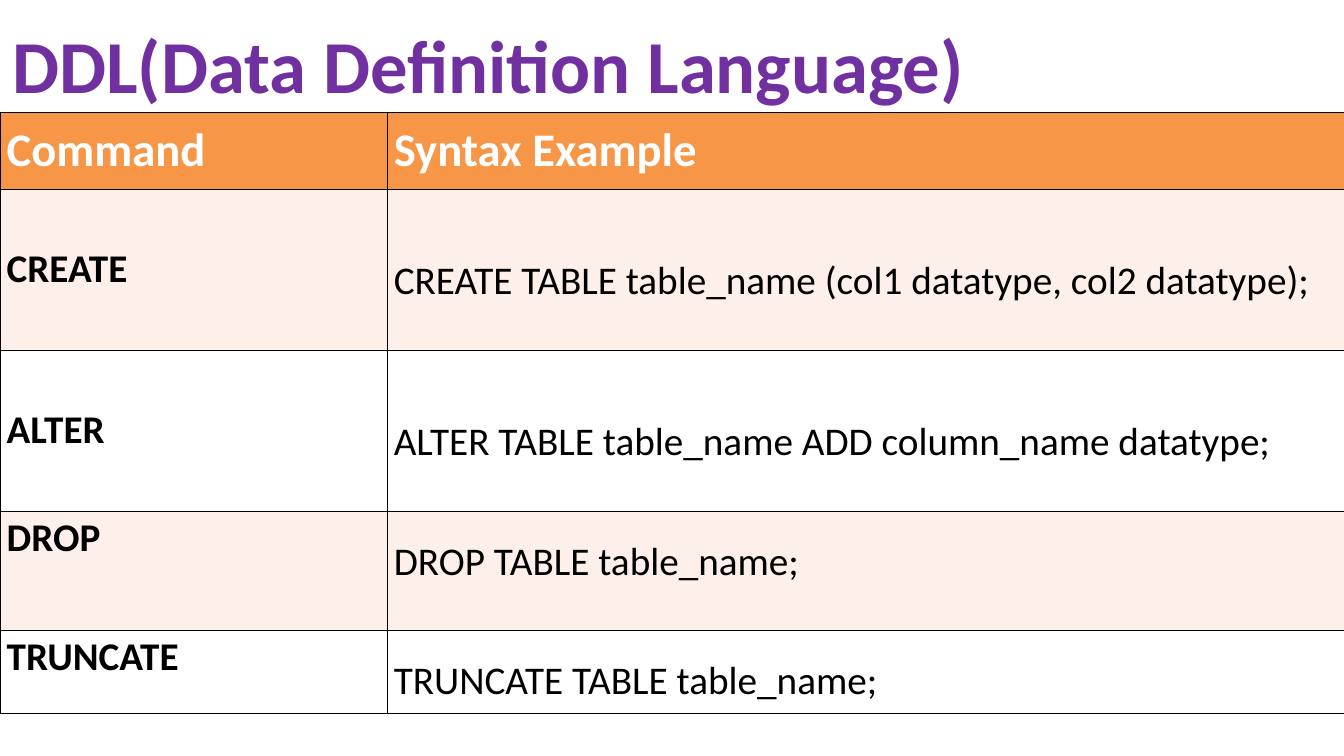
from lxml.etree import SubElement
from pptx import Presentation
from pptx.dml.color import RGBColor
from pptx.enum.text import MSO_ANCHOR as Anchor, MSO_AUTO_SIZE as AutoSize
from pptx.oxml.ns import qn
from pptx.util import Emu, Pt

PX = 9525
WIDTH, HEIGHT = 1920, 1080
COLUMN_WIDTHS = [553, 1367]
HEADERS = ["Command", "Syntax Example"]
COMMANDS = [
    ("CREATE", "CREATE TABLE table_name (col1 datatype, col2 datatype);", 230, Anchor.MIDDLE),
    ("ALTER", "ALTER TABLE table_name ADD column_name datatype;", 230, Anchor.MIDDLE),
    ("DROP", "DROP TABLE table_name;", 170, Anchor.TOP),
    ("TRUNCATE", "TRUNCATE TABLE table_name;", 119, Anchor.TOP),
]
HEADER_HEIGHT = 109
TABLE_TOP = 161


def add_span(para, text, size, color, bold):
    span = para.add_run()
    span.text = text
    span.font.name = "Calibri"
    span.font.size = Pt(size)
    span.font.bold = bold
    span.font.color.rgb = RGBColor.from_string(color)


def style_cell(cell, fill, anchor):
    """Set the anchor, a thin black border on every side, and the fill."""
    cell.vertical_anchor = anchor
    properties = cell._tc.get_or_add_tcPr()
    for side in ("a:lnL", "a:lnR", "a:lnT", "a:lnB"):
        line = SubElement(properties, qn(side), w=str(Pt(1)))
        solid = SubElement(line, qn("a:solidFill"))
        SubElement(solid, qn("a:srgbClr"), val="000000")
    cell.fill.solid()
    cell.fill.fore_color.rgb = RGBColor.from_string(fill)


deck = Presentation()
deck.slide_width = Emu(WIDTH * PX)
deck.slide_height = Emu(HEIGHT * PX)
page = deck.slides.add_slide(deck.slide_layouts[6])

heights = [HEADER_HEIGHT] + [height for _, _, height, _ in COMMANDS]
frame = page.shapes.add_table(
    len(heights), len(COLUMN_WIDTHS),
    Emu(0), Emu(TABLE_TOP * PX), Emu(WIDTH * PX), Emu(sum(heights) * PX))
table = frame.table
for column, width in zip(table.columns, COLUMN_WIDTHS):
    column.width = Emu(width * PX)
for row, height in zip(table.rows, heights):
    row.height = Emu(height * PX)

for index, header in enumerate(HEADERS):
    cell = table.cell(0, index)
    style_cell(cell, "F79646", Anchor.MIDDLE)
    add_span(cell.text_frame.paragraphs[0], header, 50, "FFFFFF", True)

for number, (command, syntax, _, anchor) in enumerate(COMMANDS, start=1):
    fill = "FDEFE9" if number % 2 else "FFFFFF"
    for index, text in enumerate((command, syntax)):
        cell = table.cell(number, index)
        style_cell(cell, fill, anchor)
        para = cell.text_frame.paragraphs[0]
        if index == 1:
            para.line_spacing = 1.5
        add_span(para, text, 42, "000000", index == 0)

title = page.shapes.add_textbox(Emu(8 * PX), Emu(22 * PX), Emu(1809 * PX), Emu(139 * PX))
title.text_frame.word_wrap = True
title.text_frame.auto_size = AutoSize.SHAPE_TO_FIT_TEXT
add_span(title.text_frame.paragraphs[0], "DDL(Data Definition Language)", 80, "7030A0", True)

deck.save("out.pptx")
